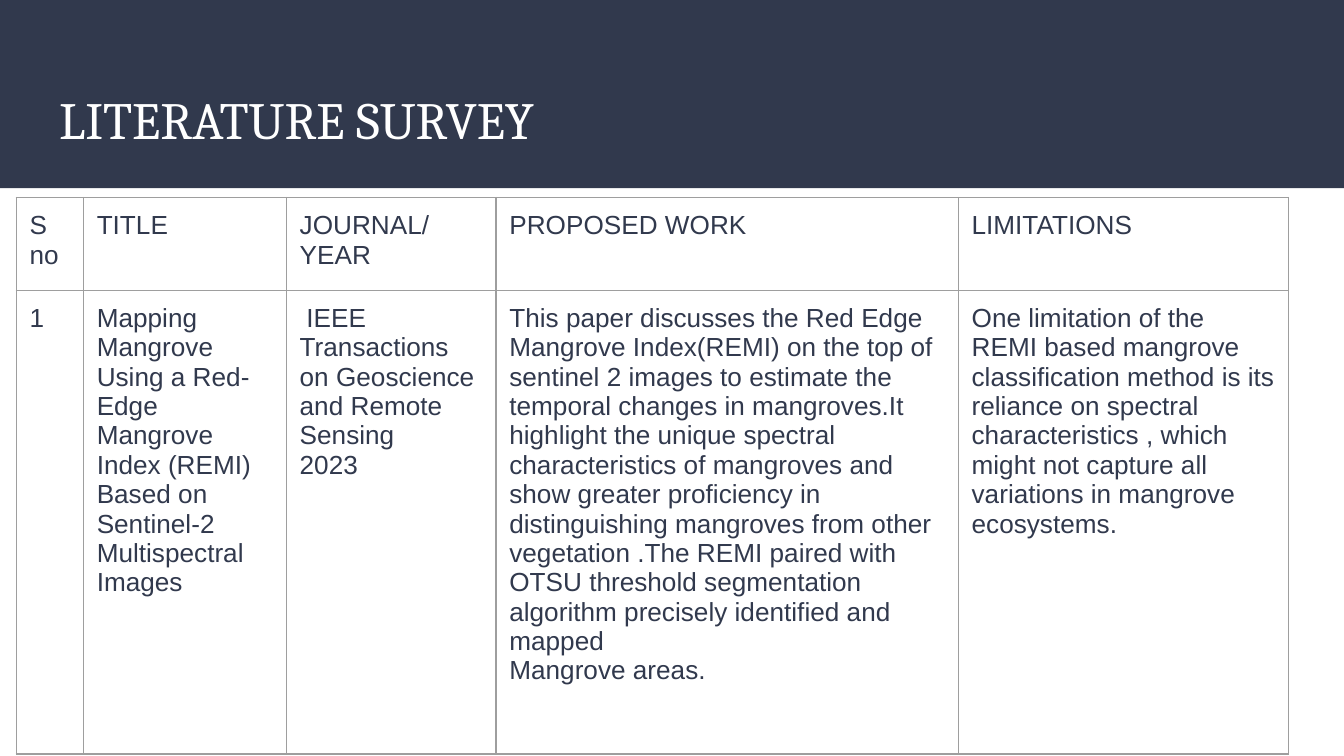
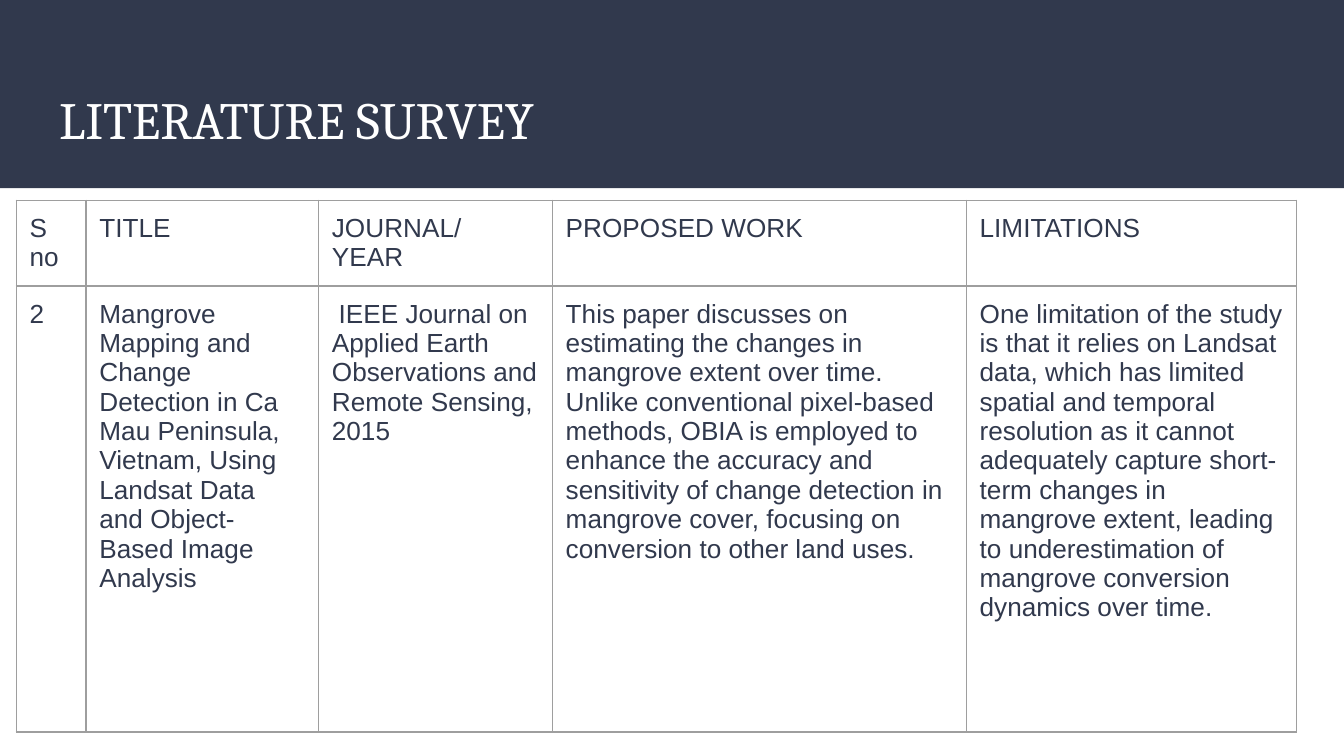
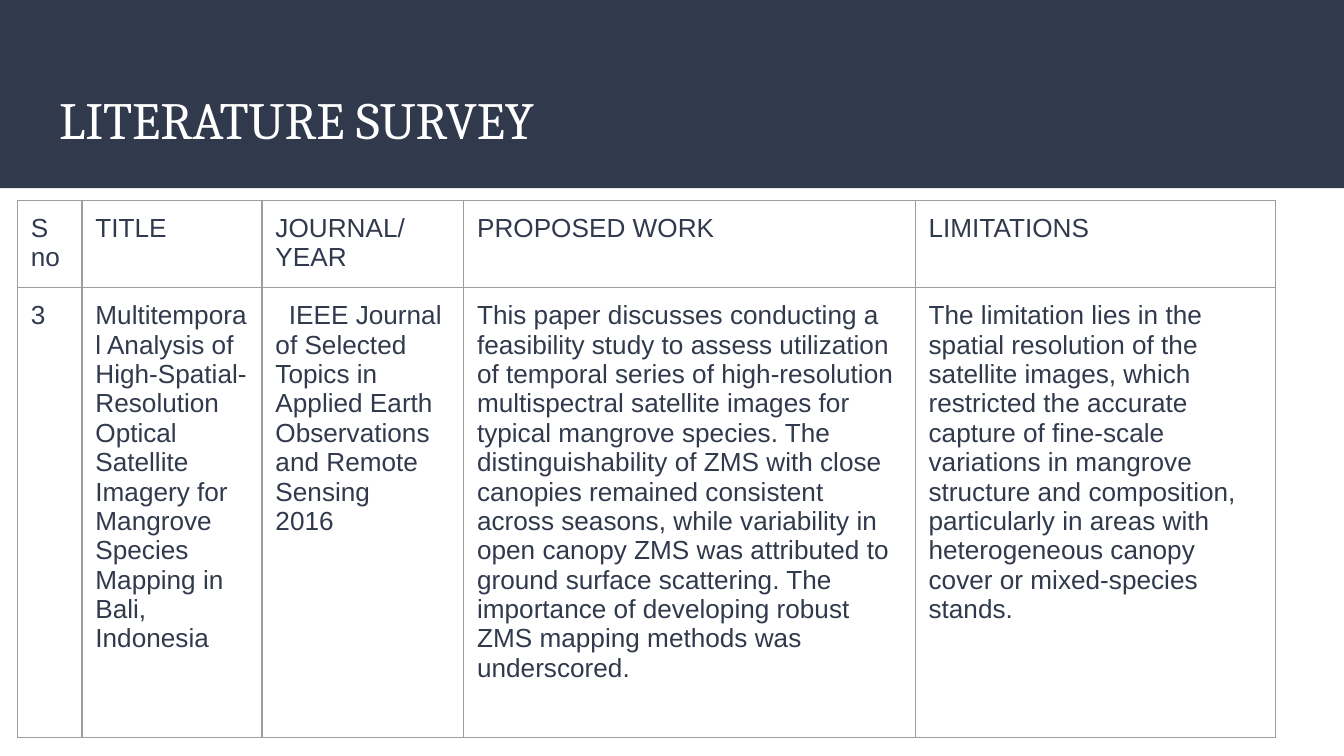
from lxml import etree
from pptx import Presentation
from pptx import util as u
from pptx.dml.color import RGBColor
from pptx.enum import shapes, text
from pptx.oxml import ns

COLORS = {"navy": "31394D", "white": "FFFFFF", "rule": "9E9E9E"}
TITLE_FONT = {"name": "Cambria", "size": u.Pt(28)}
CELL_FONT = {"name": "Arial", "size": u.Pt(14)}
MARGINS = {f"margin_{side}": u.Inches(0.1) for side in ("left", "right", "top", "bottom")}
TITLE_FRAME = {**MARGINS, "word_wrap": True, "auto_size": text.MSO_AUTO_SIZE.NONE,
               "vertical_anchor": text.MSO_ANCHOR.TOP}
TITLE_PLACE = {"left": 0.34, "top": 0.55, "width": 9.32, "height": 0.68}
HEADERS = ["S no", "TITLE", "JOURNAL/ YEAR", "PROPOSED WORK", "LIMITATIONS"]
JOURNAL_COLUMN = 2

# One entry per slide; a line break inside a cell starts a new paragraph
SURVEYS = [
    {
        "corner": (0.12, 1.47),
        "columns": [0.5, 1.51, 1.56, 3.44, 2.46],
        "rows": [0.69, 3.45],
        "journal_indent": 0.05,
        "entry": [
            "1",
            "Mapping Mangrove Using a Red-Edge Mangrove Index (REMI) Based on "
            "Sentinel-2 Multispectral Images",
            "IEEE Transactions on Geoscience and Remote Sensing\n2023",
            "This paper discusses the Red Edge Mangrove Index(REMI) on the top of "
            "sentinel 2 images to estimate the temporal changes in mangroves.It "
            "highlight the unique spectral characteristics of mangroves and show "
            "greater proficiency in distinguishing mangroves from other vegetation "
            ".The REMI paired with OTSU threshold segmentation algorithm precisely "
            "identified and mapped\nMangrove areas.",
            "One limitation of the REMI based mangrove classification method is its "
            "reliance on spectral characteristics , which might not capture all "
            "variations in mangrove ecosystems.",
        ],
    },
    {
        "corner": (0.12, 1.49),
        "columns": [0.52, 1.73, 1.74, 3.08, 2.46],
        "rows": [0.6, 3.32],
        "journal_indent": 0.05,
        "entry": [
            "2",
            "Mangrove Mapping and Change Detection in Ca Mau Peninsula, Vietnam, "
            "Using Landsat Data and Object-Based Image Analysis",
            "IEEE Journal on Applied Earth Observations and Remote Sensing,\n2015",
            "This paper discusses on estimating the changes in mangrove extent over "
            "time. Unlike conventional pixel-based methods, OBIA is employed to "
            "enhance the accuracy and sensitivity of change detection in mangrove "
            "cover, focusing on conversion to other land uses.",
            "One limitation of the study is that it relies on Landsat data, which has "
            "limited spatial and temporal resolution as it cannot adequately capture "
            "short-term changes in mangrove extent, leading to underestimation of "
            "mangrove conversion dynamics over time.",
        ],
    },
    {
        "corner": (0.13, 1.49),
        "columns": [0.48, 1.34, 1.5, 3.36, 2.68],
        "rows": [0.65, 3.35],
        "journal_indent": 0.1,
        "entry": [
            "3",
            "Multitemporal Analysis of High-Spatial-Resolution Optical Satellite "
            "Imagery for Mangrove Species Mapping in Bali, Indonesia",
            "IEEE Journal of Selected Topics in Applied Earth Observations and "
            "Remote Sensing\n2016",
            "This paper discusses conducting a feasibility study to assess "
            "utilization of temporal series of high-resolution multispectral "
            "satellite images for typical mangrove species. The distinguishability "
            "of ZMS with close canopies remained consistent across seasons, while "
            "variability in open canopy ZMS was attributed to ground surface "
            "scattering. The importance of developing robust ZMS mapping methods was "
            "underscored.",
            "The limitation lies in the spatial resolution of the satellite images, "
            "which restricted the accurate capture of fine-scale variations in "
            "mangrove structure and composition, particularly in areas with "
            "heterogeneous canopy cover or mixed-species stands.",
        ],
    },
]


def format_paragraph(paragraph, font_values, color):
    paragraph.alignment = text.PP_ALIGN.LEFT
    for run in paragraph.runs:
        for name, value in font_values.items():
            setattr(run.font, name, value)
        run.font.color.rgb = RGBColor.from_string(COLORS[color])


def add_borders(cell):
    properties = cell._tc.get_or_add_tcPr()
    for position, side in enumerate(("lnL", "lnR", "lnT", "lnB")):
        line = etree.Element(ns.qn(f"a:{side}"), w=str(u.Pt(0.75)))
        fill = etree.SubElement(line, ns.qn("a:solidFill"))
        etree.SubElement(fill, ns.qn("a:srgbClr"), val=COLORS["rule"])
        properties.insert(position, line)


# Widescreen 16:9
presentation = Presentation()
presentation.slide_width = u.Inches(10)
presentation.slide_height = u.Inches(10 * 9 / 16)
layout = presentation.slide_layouts.get_by_name("Title Only")

for number, survey in enumerate(SURVEYS):
    slide = presentation.slides.add_slide(layout)

    # Shared band, placed once on the layout behind its placeholders
    if number == 0:
        band = slide.shapes.add_shape(shapes.MSO_SHAPE.RECTANGLE, 0, 0,
                                      presentation.slide_width, u.Inches(1.4))
        band.shadow.inherit = False
        band.fill.solid()
        band.fill.fore_color.rgb = RGBColor.from_string(COLORS["navy"])
        band.line.fill.background()
        layout.shapes._spTree.insert(2, band._element)

    # Title
    title = slide.shapes.title
    for name, value in TITLE_PLACE.items():
        setattr(title, name, u.Inches(value))
    for name, value in TITLE_FRAME.items():
        setattr(title.text_frame, name, value)
    title.text_frame.text = "LITERATURE SURVEY"
    format_paragraph(title.text_frame.paragraphs[0], TITLE_FONT, "white")

    # Survey table: a header row and one paper
    left, top = survey["corner"]
    table = slide.shapes.add_table(
        2, len(HEADERS), u.Inches(left), u.Inches(top),
        u.Inches(sum(survey["columns"])), u.Inches(sum(survey["rows"]))).table
    table.first_row = table.horz_banding = False
    for column, width in zip(table.columns, survey["columns"]):
        column.width = u.Inches(width)
    for row, height in zip(table.rows, survey["rows"]):
        row.height = u.Inches(height)

    for row, row_texts in zip(table.rows, (HEADERS, survey["entry"])):
        for cell, cell_text in zip(row.cells, row_texts):
            cell.text = cell_text
            cell.fill.background()
            for name, value in MARGINS.items():
                setattr(cell, name, value)
            for paragraph in cell.text_frame.paragraphs:
                format_paragraph(paragraph, CELL_FONT, "navy")
            add_borders(cell)

    # First-line indent of the journal name
    journal = table.cell(1, JOURNAL_COLUMN).text_frame.paragraphs[0]
    journal._p.get_or_add_pPr().set("indent", str(u.Inches(survey["journal_indent"])))

presentation.save("out.pptx")
